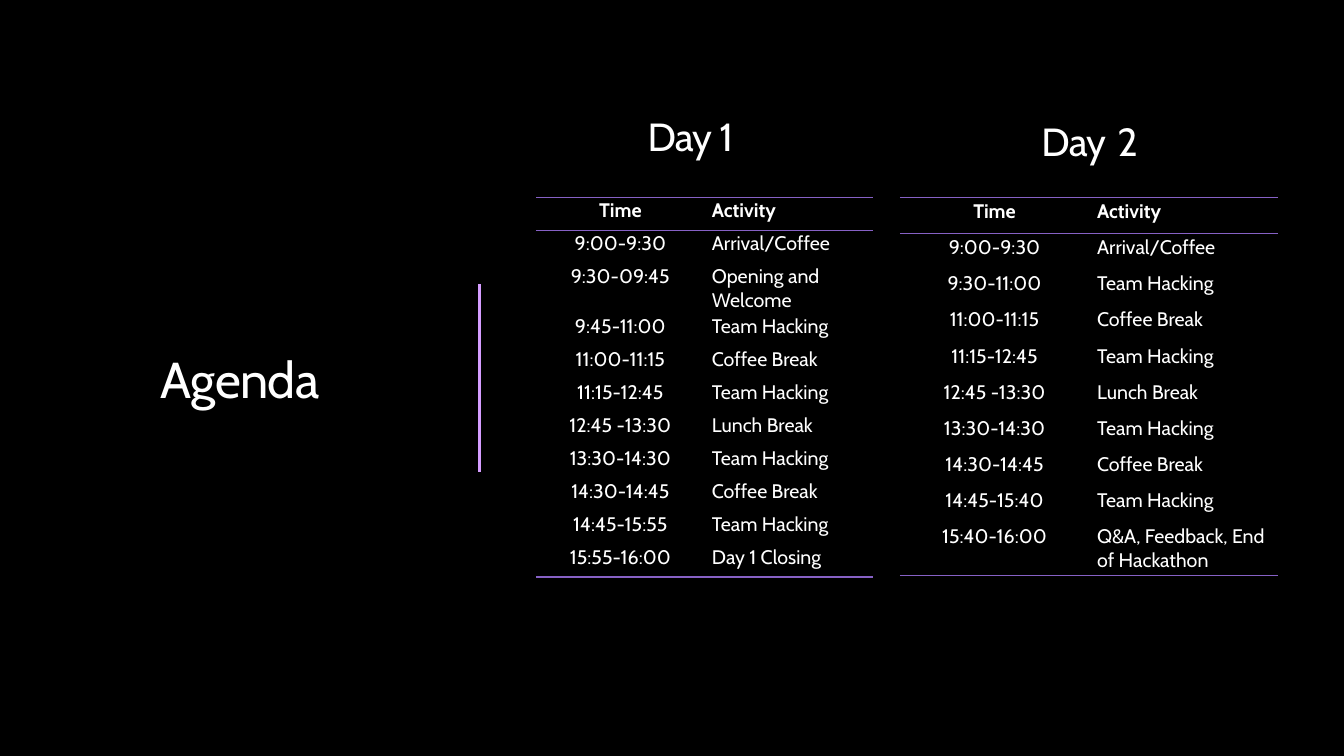
from dataclasses import dataclass

from lxml.etree import SubElement
from pptx import Presentation
from pptx.dml.color import RGBColor
from pptx.enum.shapes import MSO_CONNECTOR as Connector
from pptx.enum.text import MSO_ANCHOR as Anchor, MSO_AUTO_SIZE as AutoSize, PP_ALIGN as Align
from pptx.oxml.ns import qn
from pptx.util import Cm, Pt


@dataclass(frozen=True)
class Theme:
    font: str = "Cabin"
    background: str = "000000"
    text: str = "FFFFFF"
    accent: str = "D59DFF"
    rule: str = "8661C5"
    title_size: int = 36
    day_size: int = 28
    table_size: int = 14
    tracking: int = -50
    plain_table: str = "{2D5ABB26-0587-4C30-8999-92F81FD0307C}"


class AgendaSlide:
    def __init__(self, presentation, theme):
        self.theme = theme
        self.slide = presentation.slides.add_slide(presentation.slide_layouts[5])
        fill = self.slide.background.fill
        fill.solid()
        fill.fore_color.rgb = RGBColor.from_string(theme.background)

    def add_run(self, paragraph, text, size, bold=False, tracking=None):
        run = paragraph.add_run()
        run.text = text
        font = run.font
        font.name = self.theme.font
        font.size = Pt(size)
        font.bold = bold
        font.color.rgb = RGBColor.from_string(self.theme.text)
        if tracking is not None:
            run._r.get_or_add_rPr().set("spc", str(tracking))

    def set_heading(self, shape, box, runs):
        shape.left, shape.top, shape.width, shape.height = map(Cm, box)
        frame = shape.text_frame
        frame.margin_left = frame.margin_right = frame.margin_top = frame.margin_bottom = 0
        frame.word_wrap = True
        frame.auto_size = AutoSize.SHAPE_TO_FIT_TEXT
        frame.vertical_anchor = Anchor.MIDDLE
        paragraph = frame.paragraphs[0]
        paragraph.alignment = Align.CENTER
        for text, size in runs:
            self.add_run(paragraph, text, size, tracking=self.theme.tracking)

    def title(self, text, box):
        self.set_heading(self.slide.shapes.title, box, [(text, self.theme.title_size)])

    def day_heading(self, runs, box):
        shape = self.slide.shapes.add_textbox(*map(Cm, box))
        self.set_heading(shape, box, runs)

    def divider(self, x, top, bottom):
        line = self.slide.shapes.add_connector(
            Connector.STRAIGHT, Cm(x), Cm(top), Cm(x), Cm(bottom))
        line.line.color.rgb = RGBColor.from_string(self.theme.accent)
        line.line.width = Pt(2.25)
        SubElement(line._element.spPr, qn("a:effectLst"))

    def add_border(self, cell, side):
        border = SubElement(cell._tc.get_or_add_tcPr(), qn(f"a:ln{side}"), w=str(Pt(1)))
        fill = SubElement(border, qn("a:solidFill"))
        SubElement(fill, qn("a:srgbClr"), val=self.theme.rule)

    def fill_cell(self, cell, text, alignment, bold, margins, sides):
        cell.margin_left = cell.margin_right = Cm(margins[0])
        cell.margin_top = cell.margin_bottom = Cm(margins[1])
        paragraph = cell.text_frame.paragraphs[0]
        paragraph.alignment = alignment
        self.add_run(paragraph, text, self.theme.table_size, bold)
        for side in sides:
            self.add_border(cell, side)
        cell.fill.background()

    def schedule(self, sessions, left, top, column_width, row_height, tall_row, margins):
        rows = [("Time", "Activity"), *sessions]
        heights = [Cm(row_height)] * len(rows)
        heights[tall_row[0]] = Cm(tall_row[1])
        table = self.slide.shapes.add_table(
            len(rows), 2, Cm(left), Cm(top), Cm(2 * column_width), sum(heights)).table
        table.first_row = table.horz_banding = False
        table._tbl.tblPr.find(qn("a:tableStyleId")).text = self.theme.plain_table
        for column in table.columns:
            column.width = Cm(column_width)
        borders = {0: "TB", len(rows) - 1: "B"}
        for index, (row, height) in enumerate(zip(rows, heights)):
            table.rows[index].height = height
            for column, alignment in enumerate((Align.CENTER, Align.LEFT)):
                self.fill_cell(table.cell(index, column), row[column], alignment,
                               index == 0, margins, borders.get(index, ""))


DAY_ONE = [
    ("9:00-9:30", "Arrival/Coffee"),
    ("9:30-09:45", "Opening and Welcome"),
    ("9:45-11:00", "Team Hacking"),
    ("11:00-11:15", "Coffee Break"),
    ("11:15-12:45", "Team Hacking"),
    ("12:45 -13:30", "Lunch Break"),
    ("13:30-14:30", "Team Hacking"),
    ("14:30-14:45", "Coffee Break"),
    ("14:45-15:55", "Team Hacking"),
    ("15:55-16:00", "Day 1 Closing"),
]
DAY_TWO = [
    ("9:00-9:30", "Arrival/Coffee"),
    ("9:30-11:00", "Team Hacking"),
    ("11:00-11:15", "Coffee Break"),
    ("11:15-12:45", "Team Hacking"),
    ("12:45 -13:30", "Lunch Break"),
    ("13:30-14:30", "Team Hacking"),
    ("14:30-14:45", "Coffee Break"),
    ("14:45-15:40", "Team Hacking"),
    ("15:40-16:00", "Q&A, Feedback, End of Hackathon"),
]


def main():
    presentation = Presentation()
    presentation.slide_width, presentation.slide_height = Cm(33.87), Cm(19.05)
    theme = Theme()
    agenda = AgendaSlide(presentation, theme)
    agenda.divider(12.09, 7.16, 11.89)
    agenda.title("Agenda", (1.63, 8.76, 8.84, 1.55))
    agenda.schedule(DAY_ONE, 13.51, 4.98, 4.25, 0.83, (2, 1.26), (0.18, 0.03))
    agenda.schedule(DAY_TWO, 22.68, 4.98, 4.77, 0.91, (9, 1.33), (0.2, 0.05))
    agenda.day_heading([("Day 1", theme.day_size)], (12.98, 2.84, 8.84, 1.19))
    agenda.day_heading(
        [("Day", theme.day_size), (" ", theme.title_size), ("2", theme.day_size)],
        (23.04, 2.67, 8.84, 1.55))
    presentation.save("out.pptx")


if __name__ == "__main__":
    main()
